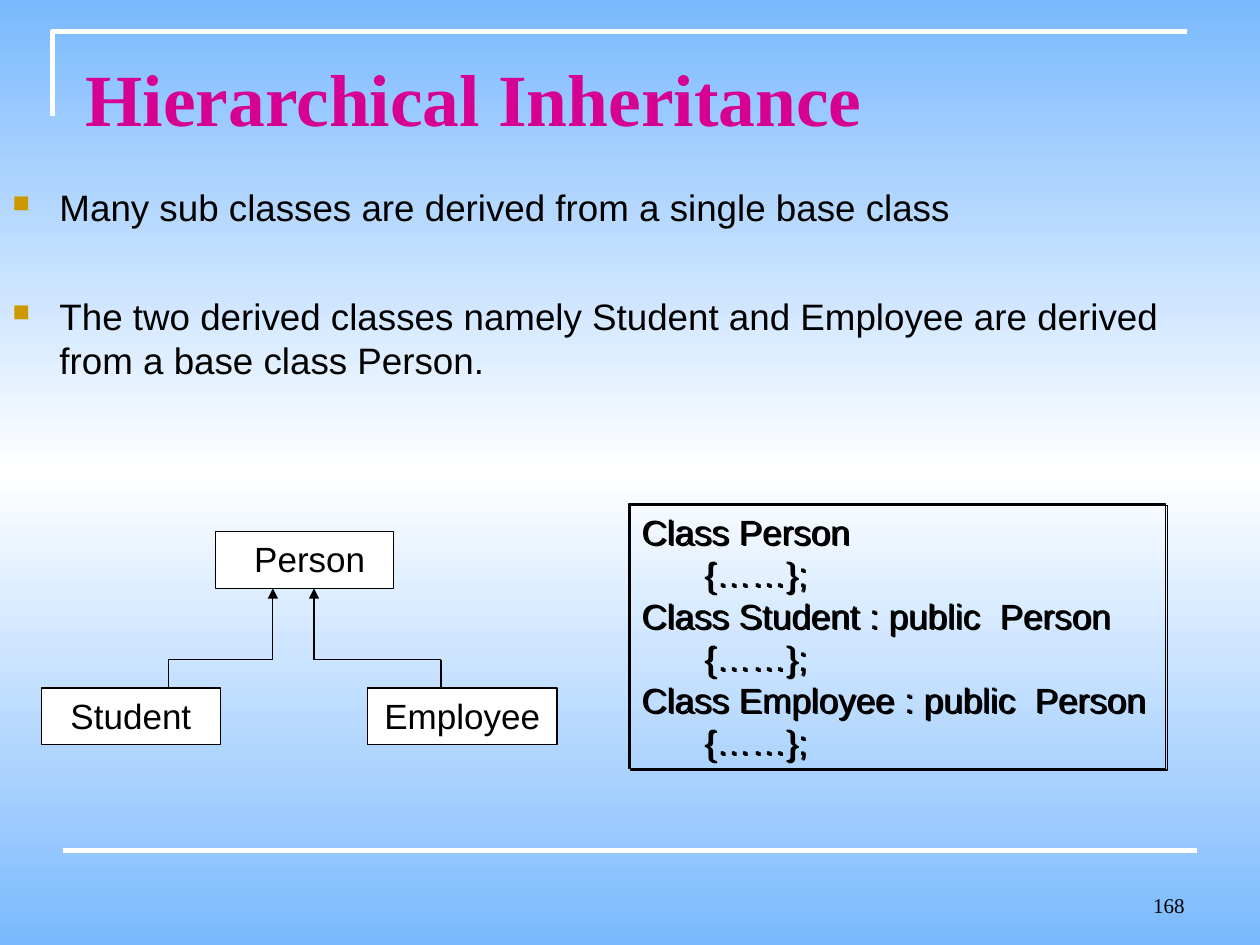
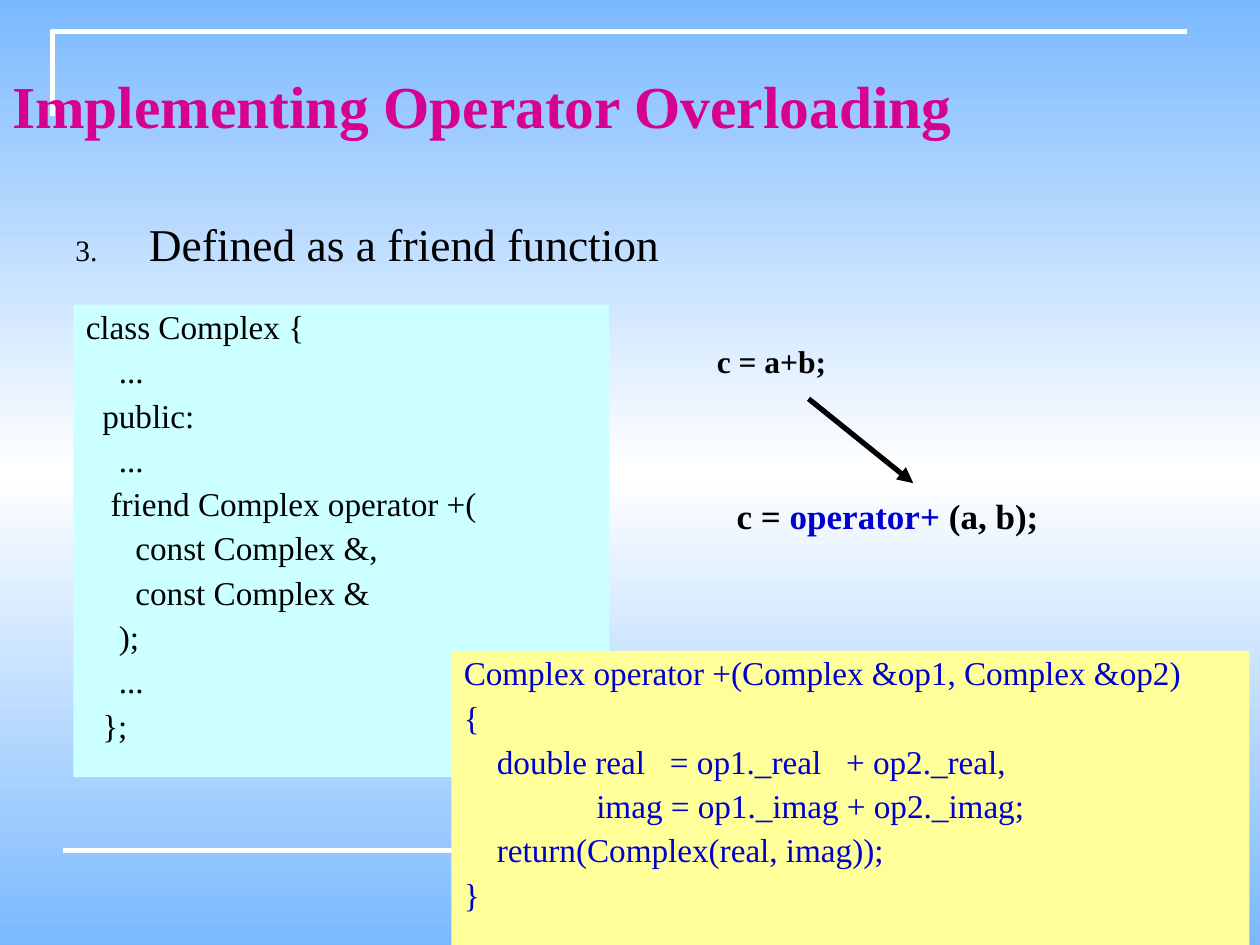
from copy import deepcopy

from lxml.etree import SubElement
from pptx import Presentation
from pptx.dml.color import RGBColor
from pptx.enum.shapes import MSO_CONNECTOR as Connector, MSO_SHAPE as Shape
from pptx.enum.text import MSO_ANCHOR as Anchor, PP_ALIGN as Align
from pptx.oxml.ns import qn
from pptx.util import Cm, Pt

COLORS = {
    "sky": "7AB9FE", "white": "FFFFFF", "black": "000000", "title": "D60093",
    "bullet": "CC9900", "cyan": "CCFFFF", "yellow": "FFFF99", "blue": "0000CC",
}
SANS, SERIF = "Arial", "Times New Roman"
HAIRLINE, THICK = 0.75, 3

PERSON_CLASSES = [
    "Class Person",
    "\t{……};",
    "Class Student : public  Person",
    "\t{……};",
    "Class Employee : public  Person",
    "\t{……};",
]
COMPLEX_CLASS = [
    "class Complex {",
    "    ...",
    "  public:",
    "    ...",
    "   friend Complex operator +(",
    "      const Complex &,",
    "      const Complex &",
    "    );",
    "    ...",
    "  };",
]
PLUS_OPERATOR = [
    "Complex operator +(Complex &op1, Complex &op2)",
    "{",
    "    double real   = op1._real   + op2._real,",
    "                imag = op1._imag + op2._imag;",
    "    return(Complex(real, imag));",
    "}",
]


def rgb(name):
    return RGBColor.from_string(COLORS[name])


def cms(values):
    return [Cm(value) for value in values]


def paint_background(master):
    """Give every slide a vertical gradient: sky, white, sky."""
    fill = master.background.fill
    fill.gradient()
    fill.gradient_angle = 270
    top, middle = fill.gradient_stops
    top.color.rgb = rgb("sky")
    top.position = 0
    middle.color.rgb = rgb("white")
    middle.position = 0.5
    stops = master.element.find(".//" + qn("a:gsLst"))
    bottom = deepcopy(stops[0])
    bottom.set("pos", "100000")
    stops.append(bottom)


def add_line(slide, start, end, color="black", width=HAIRLINE, arrow=False):
    line = slide.shapes.add_connector(Connector.STRAIGHT, *cms(start + end))
    line.line.color.rgb = rgb(color)
    line.line.width = Pt(width)
    if arrow:
        SubElement(line.line._get_or_add_ln(), qn("a:tailEnd"), type="triangle")
    SubElement(line._element.spPr, qn("a:effectLst"))
    return line


def add_frame(slide):
    """Draw the white corner at the top and the white rule at the bottom."""
    left, top, right, low = cms((1.06, 0.63, 23.92, 2.33))
    builder = slide.shapes.build_freeform(left, low)
    builder.add_line_segments([(left, top), (right, top)], close=False)
    corner = builder.convert_to_shape()
    corner.shadow.inherit = False
    corner.fill.background()
    corner.line.color.rgb = rgb("white")
    corner.line.width = Pt(THICK)
    add_line(slide, (1.27, 17.14), (24.13, 17.14), "white", THICK)


def write(shape, lines, size, font, color="black", bold=False, align=Align.LEFT,
          anchor=Anchor.TOP, spacing=None, gap=0, bullet=None):
    """Fill a shape with paragraphs; bullet is called on each before its font is set."""
    frame = shape.text_frame
    frame.word_wrap = True
    frame.vertical_anchor = anchor
    for index, line in enumerate(lines):
        paragraph = frame.add_paragraph() if index else frame.paragraphs[0]
        paragraph.text = line
        paragraph.alignment = align
        if bullet:
            bullet(paragraph)
        if spacing:
            paragraph.line_spacing = spacing
        if index:
            paragraph.space_before = Pt(gap)
        paragraph.font.size = Pt(size)
        paragraph.font.name = font
        paragraph.font.bold = bold
        paragraph.font.color.rgb = rgb(color)
    return frame


def add_text(slide, box, lines, size, font, **style):
    return write(slide.shapes.add_textbox(*cms(box)), lines, size, font, **style)


def add_title(slide, box, title, size):
    add_text(slide, box, [title], size, SERIF, color="title", bold=True,
             anchor=Anchor.MIDDLE)


def add_box(slide, box, fill=None, border=None):
    rect = slide.shapes.add_shape(Shape.RECTANGLE, *cms(box))
    rect.shadow.inherit = False
    if fill:
        rect.fill.solid()
        rect.fill.fore_color.rgb = rgb(fill)
    else:
        rect.fill.background()
    if border:
        rect.line.color.rgb = rgb(border)
        rect.line.width = Pt(HAIRLINE)
    else:
        rect.line.fill.background()
    return rect


def add_marker(paragraph, indent, color, tag, **attributes):
    """Hang a bullet or number, at 65 % of the text size, left of the paragraph."""
    props = paragraph._p.get_or_add_pPr()
    props.set("marL", str(Cm(indent)))
    props.set("indent", str(-Cm(indent)))
    tint = SubElement(props, qn("a:buClr"))
    SubElement(tint, qn("a:srgbClr"), val=COLORS[color])
    SubElement(props, qn("a:buSzPct"), val="65000")
    SubElement(props, qn(tag), **attributes)


def square_bullet(paragraph):
    add_marker(paragraph, 0.95, "bullet", "a:buChar", char="■")


def number_three(paragraph):
    add_marker(paragraph, 1.48, "black", "a:buAutoNum", type="arabicPeriod", startAt="3")


def add_hard_shadow(shape):
    effects = shape._element.spPr.find(qn("a:effectLst"))
    shadow = SubElement(effects, qn("a:outerShdw"), dist=str(Pt(1.4)), dir="2700000",
                        algn="ctr", rotWithShape="0")
    SubElement(shadow, qn("a:srgbClr"), val=COLORS["black"])


def add_class_box(slide, box, name):
    class_box = add_box(slide, box, "white", "black")
    return write(class_box, [name], 20, SANS, align=Align.CENTER)


def add_code_panel(slide, box, fill, code, color):
    write(add_box(slide, box, fill), code, 19, SERIF, color=color, spacing=0.9, gap=4.8)


def add_class_tree(slide):
    person_bottom, bend, child_top = 11.86, 13.3, 13.87
    person = add_class_box(slide, (4.34, 10.72, 3.6, 1.14), "Person")
    person.margin_left = Cm(0.46)
    add_class_box(slide, (0.84, child_top, 3.6, 1.14), "Student")
    add_class_box(slide, (7.41, child_top, 3.82, 1.14), "Employee")
    for parent_x, child_x in ((5.5, 3.39), (6.33, 8.89)):
        add_line(slide, (parent_x, bend), (parent_x, person_bottom), arrow=True)
        add_line(slide, (parent_x, bend), (child_x, bend))
        add_line(slide, (child_x, bend), (child_x, child_top))


def build_inheritance(slide):
    add_text(slide, (18.2, 17.36, 5.93, 1.27), ["168"], 12, SERIF,
             align=Align.RIGHT, anchor=Anchor.BOTTOM)
    add_title(slide, (1.48, 0.85, 22.23, 2.2), "Hierarchical Inheritance", 42)
    add_text(slide, (0, 3.6, 24.34, 13.55), [
        "Many sub classes are derived from a single base class",
        "The two derived classes namely Student and Employee are derived "
        "from a base class Person.",
    ], 21, SANS, gap=37, bullet=square_bullet)
    add_class_tree(slide)
    code_box = add_box(slide, (12.68, 10.16, 10.82, 5.33), border="black")
    add_hard_shadow(code_box)
    write(code_box, PERSON_CLASSES, 20, SANS, anchor=Anchor.MIDDLE)


def build_overloading(slide):
    add_text(slide, (1.27, 4.45, 22.86, 1.27), ["Defined as a friend function"], 26,
             SERIF, spacing=0.8, bullet=number_three)
    add_title(slide, (0, 1.06, 25.4, 2.12), "Implementing Operator Overloading", 34)
    add_code_panel(slide, (1.48, 6.14, 10.8, 9.53), "cyan", COMPLEX_CLASS, "black")
    add_code_panel(slide, (9.1, 13.12, 16.09, 5.93), "yellow", PLUS_OPERATOR, "blue")
    add_text(slide, (14.2, 6.78, 2.72, 1.02), ["c = a+b;"], 18, SERIF,
             bold=True).word_wrap = False
    add_line(slide, (16.3, 8.04), (18.41, 9.74), width=THICK, arrow=True)
    call = add_text(slide, (14.6, 9.95, 7.83, 1.02), ["c = "], 20, SERIF, bold=True,
                    spacing=0.9).paragraphs[0]
    operator = call.add_run()
    operator.text = "operator+"
    operator.font.color.rgb = rgb("blue")
    call.add_run().text = " (a, b);"


def main():
    deck = Presentation()
    deck.slide_width, deck.slide_height = Cm(25.4), Cm(19.05)
    paint_background(deck.slide_master)
    for build in (build_inheritance, build_overloading):
        slide = deck.slides.add_slide(deck.slide_layouts[6])
        add_frame(slide)
        build(slide)
    deck.save("out.pptx")


if __name__ == "__main__":
    main()
